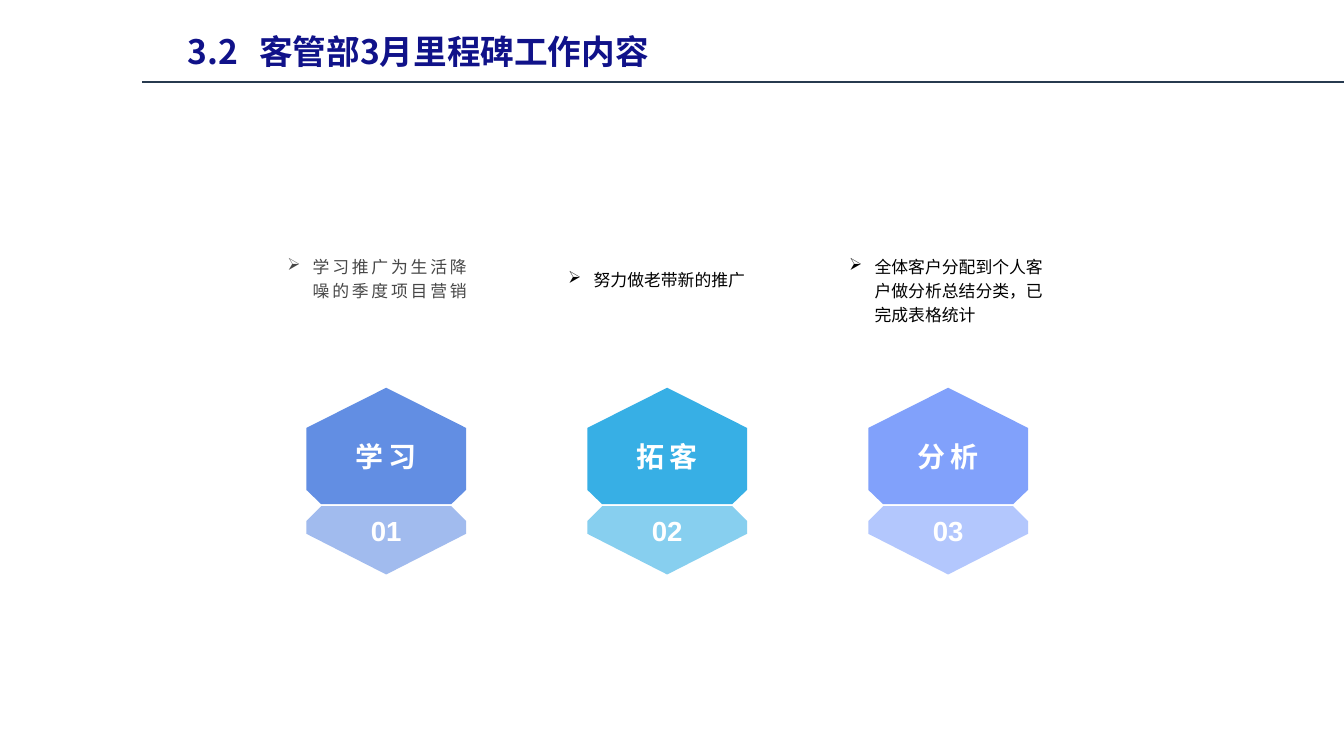
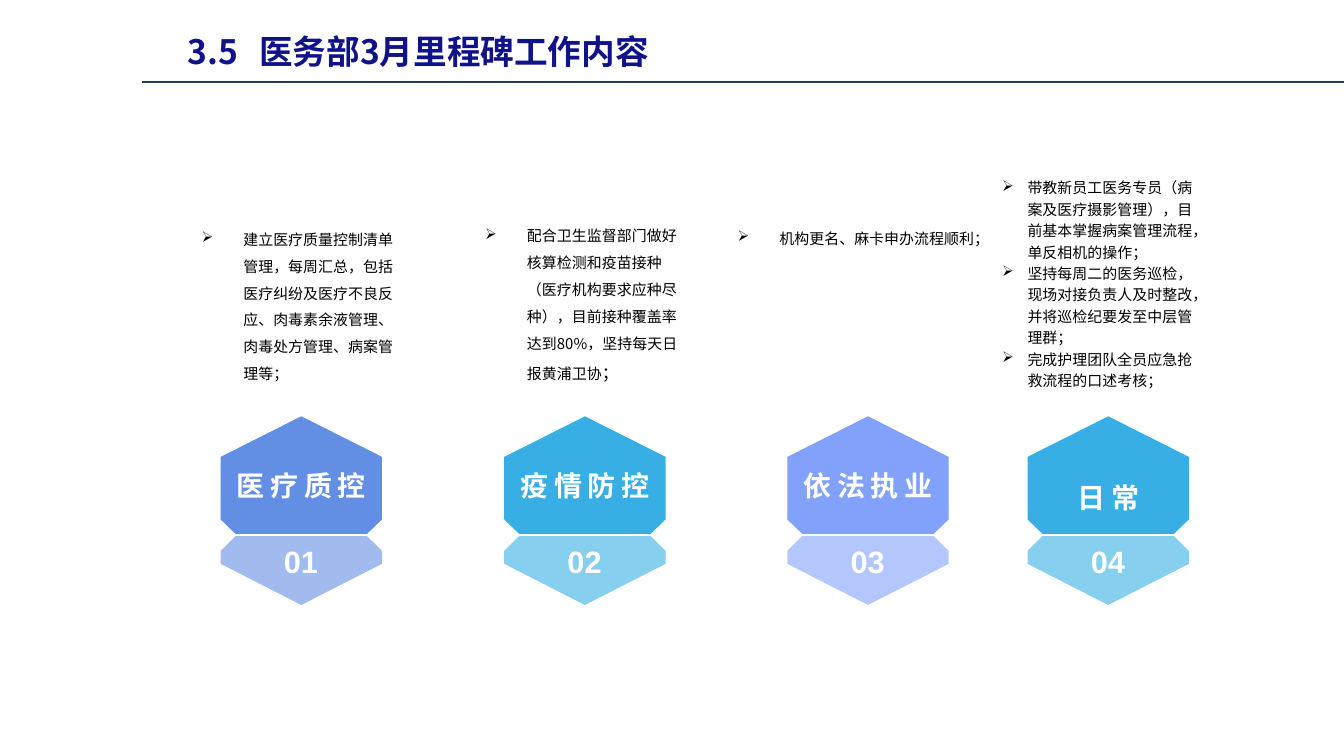
from lxml import etree
from pptx import Presentation
from pptx import util as u
from pptx.dml.color import RGBColor
from pptx.enum import shapes, text
from pptx.oxml import ns

NAVY, SLATE, WHITE, BLACK, GRAY = "101289", "273A4F", "FFFFFF", "000000", "474747"
BLUE, SKY, IRIS = ("628EE3", "A1BBEE"), ("37AFE5", "87CFEF"), ("81A1FB", "B3C7FD")
SANS, LATIN = "Noto Sans CJK SC", "Arial"
MID, LOW = text.MSO_ANCHOR.MIDDLE, text.MSO_ANCHOR.BOTTOM


def tint(code):
    """Turn a hex string into a colour."""
    return RGBColor.from_string(code)


def add(node, tag, **attrs):
    """Append a drawing element to a node."""
    return etree.SubElement(node, ns.qn(tag), attrs)


class Deck:
    """Holds the style and the current slide."""

    def __init__(self):
        """Open an empty deck."""
        self.show = Presentation()
        self.show.slide_width, self.show.slide_height = u.Cm(25.4), u.Cm(14.29)
        self.slide = None

    def page(self, number, title):
        """Start a slide with its title and rule."""
        self.slide = self.show.slides.add_slide(self.show.slide_layouts[6])
        frame = self.box(3.3, 0.08, 18.67, 1.4)
        para = self.para(frame, 0, 1.5)
        tabs = add(para._p.get_or_add_pPr(), "a:tabLst")
        add(tabs, "a:tab", pos=str(u.Cm(1.35)), algn="l")
        self.run(para, f"{number}\t{title}", 18, NAVY, bold=True)
        self.line(2.69, 25.4, 1.55)

    def line(self, left, right, top):
        """Draw a level rule."""
        rule = self.slide.shapes.add_connector(
            shapes.MSO_CONNECTOR.STRAIGHT, u.Cm(left), u.Cm(top), u.Cm(right), u.Cm(top))
        rule.line.color.rgb = tint(SLATE)
        rule.line.width = u.Pt(1)
        add(rule._element.spPr, "a:effectLst")

    def box(self, left, top, width, height, anchor=None):
        """Add a wrapping text box and give its frame."""
        frame = self.slide.shapes.add_textbox(
            u.Cm(left), u.Cm(top), u.Cm(width), u.Cm(height)).text_frame
        frame.word_wrap = True
        if anchor is not None:
            frame.vertical_anchor = anchor
        return frame

    def para(self, frame, index, gap, align=None):
        """Give the first paragraph or a new one."""
        para = frame.add_paragraph() if index else frame.paragraphs[0]
        para.line_spacing = gap
        if align is not None:
            para.alignment = align
        return para

    def run(self, para, words, size, color, face=SANS, bold=False, track=0):
        """Add one styled run."""
        run = para.add_run()
        run.text = words
        font = run.font
        font.size, font.bold, font.name = u.Pt(size), bold, face
        font.color.rgb = tint(color)
        props = run._r.get_or_add_rPr()
        add(props, "a:ea", typeface=SANS)
        if track:
            props.set("spc", str(int(track * 100)))

    def shape(self, points, color):
        """Draw a closed outline in one colour."""
        spots = [(u.Cm(x), u.Cm(y)) for x, y in points]
        pen = self.slide.shapes.build_freeform(*spots[0])
        pen.add_line_segments(spots[1:], close=True)
        form = pen.convert_to_shape()
        form.shadow.inherit = False
        form.fill.solid()
        form.fill.fore_color.rgb = tint(color)
        form.line.fill.background()

    def badge(self, left, top, name, number, hues, scale=1, size=14.8, drop=0.33):
        """Draw a split hexagon with its name and number."""
        tip = [(1.51, 0), (3.02, 0.76), (3.02, 1.93), (2.74, 2.2),
               (0.28, 2.2), (0, 1.93), (0, 0.76)]
        foot = [(0.28, 2.24), (2.74, 2.24), (3.02, 2.52), (3.02, 2.76),
                (1.51, 3.53), (0, 2.76), (0, 2.52)]
        for part, hue in zip((tip, foot), hues):
            self.shape([(left + x * scale, top + y * scale) for x, y in part], hue)
        self.label((left - 0.08, top + drop, 3.18 * scale, 1.88), name, 15, 1.1, MID, 3)
        self.label((left + 0.76, top + 2.26, 1.5 * scale, 0.97), f"{number:02}", size)

    def label(self, place, words, size, gap=1, anchor=None, track=0):
        """Write bold centred white text."""
        para = self.para(self.box(*place, anchor), 0, gap, text.PP_ALIGN.CENTER)
        self.run(para, words, size, WHITE, LATIN, True, track)

    def note(self, place, items, size, gap, hang, lift=0, anchor=LOW, color=BLACK, **style):
        """Write bulleted text raised by a number of lines."""
        frame = self.box(*place, anchor)
        frame.margin_bottom = u.Cm(0.13) + u.Pt(lift * size * 1.2 * gap)
        for i, runs in enumerate(items):
            para = self.para(frame, i, gap)
            props = para._p.get_or_add_pPr()
            props.set("marL", str(u.Cm(hang)))
            props.set("indent", str(-u.Cm(hang)))
            add(props, "a:buChar", char="➢")
            for words, points in runs:
                self.run(para, words, points, color, **style)


def clients(deck):
    """Build the client team slide."""
    deck.page("3.2", "客管部3月里程碑工作内容")
    cols = [
        ("学习", BLUE, "学习推广为生活降噪的季度项目营销", 3.28, 3,
         dict(color=GRAY, face=LATIN, track=1.5)),
        ("拓客", SKY, "努力做老带新的推广", 3.07, 3, {}),
        ("分析", IRIS, "全体客户分配到个人客户做分析总结分类，已完成表格统计", 3.28, 2, {}),
    ]
    for i, (name, hues, words, top, lift, style) in enumerate(cols):
        left = 5.79 + 5.31 * i
        deck.badge(left, 7.33, name, i + 1, hues)
        deck.note((left - 0.61, top, 4.24, 3.91), [[(words, 9)]], 9, 1.2, 0.48, lift, **style)


def medics(deck):
    """Build the medical team slide."""
    deck.page("3.5", "医务部3月里程碑工作内容")
    cols = [(4.17, "医疗质控", BLUE, 0.33), (9.53, "疫情防控", SKY, 0.33),
            (14.88, "依法执业", IRIS, 0.33), (19.42, "日常", SKY, 0.56)]
    for i, (left, name, hues, drop) in enumerate(cols, 1):
        deck.badge(left, 7.87, name, i, hues, 1.01, 16.5, drop)
    check = "建立医疗质量控制清单管理，每周汇总，包括医疗纠纷及医疗不良反应、肉毒素余液管理、肉毒处方管理、病案管理等；"
    guard = "配合卫生监督部门做好核算检测和疫苗接种（医疗机构要求应种尽种），目前接种覆盖率达到80%，坚持每天日报黄浦卫协"
    daily = ["带教新员工医务专员（病案及医疗摄影管理），目前基本掌握病案管理流程，单反相机的操作；",
             "坚持每周二的医务巡检，现场对接负责人及时整改，并将巡检纪要发至中层管理群；",
             "完成护理团队全员应急抢救流程的口述考核；"]
    deck.note((3.56, 3.91, 4.29, 3.96), [[(check, 8)]], 8, 1.5, 0.79, 1)
    deck.note((8.92, 3.78, 4.29, 3.58), [[(guard, 8), ("；", 9)]], 8, 1.5, 0.79)
    deck.note((13.69, 4.04, 6.25, 0.76), [[("机构更名、麻卡申办流程顺利；", 8)]], 8, 1.5, 0.79,
              anchor=None)
    deck.note((18.69, 3.94, 4.29, 3.96), [[(words, 8)] for words in daily], 8, 1.2, 0.48, 1)


def main():
    """Build and save the deck."""
    deck = Deck()
    clients(deck)
    medics(deck)
    deck.show.save("out.pptx")


if __name__ == "__main__":
    main()
